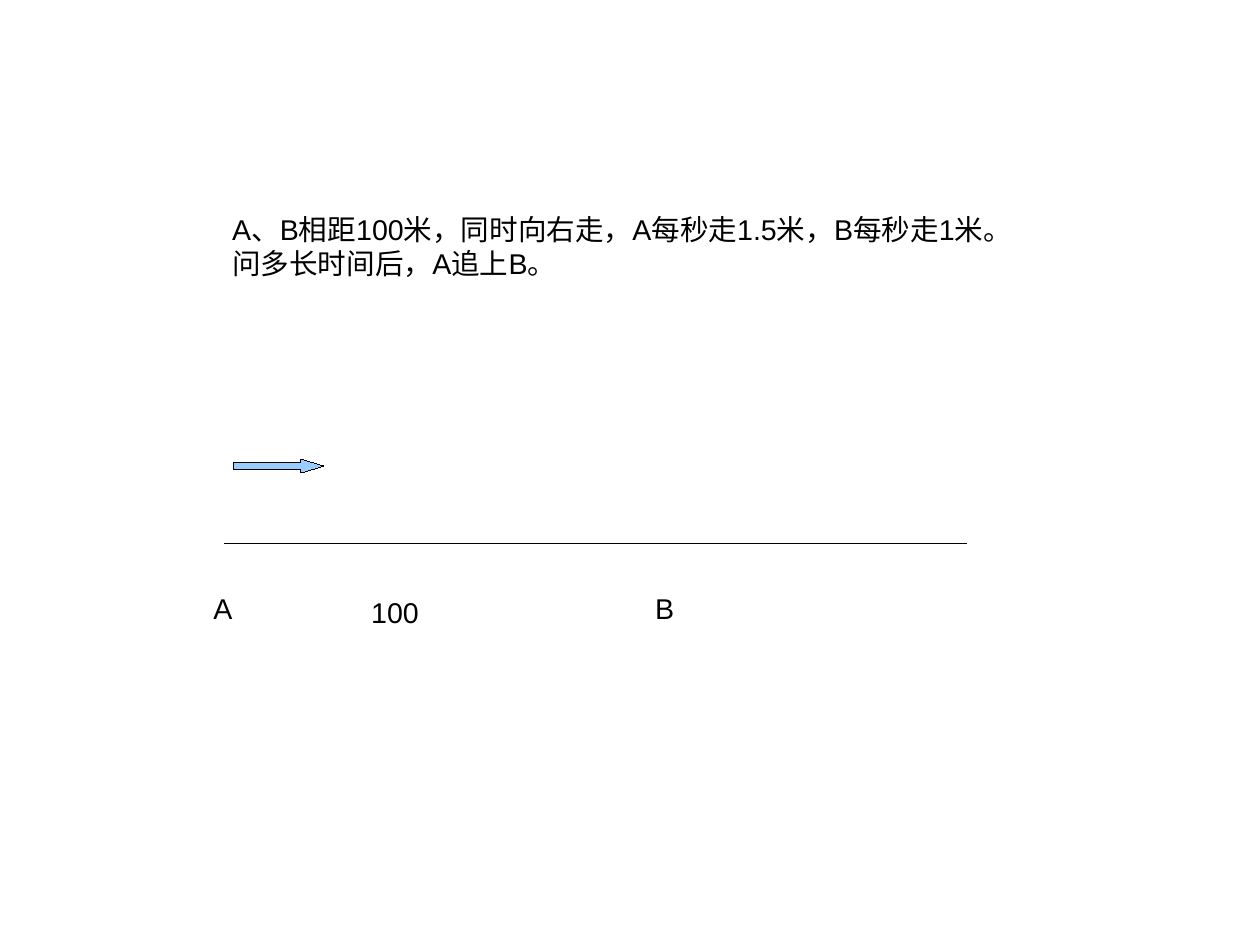
import pptx
import pptx.dml.color
import pptx.enum.shapes
import pptx.enum.text
import pptx.oxml.ns
import pptx.util
from lxml import etree

PX = 8000  # EMU per px, so 1260 by 945 px is 28 by 21 cm
BLACK = pptx.dml.color.RGBColor(0x00, 0x00, 0x00)
LIGHT_BLUE = pptx.dml.color.RGBColor(0x99, 0xCC, 0xFF)


class Board:
    font = "Arial"
    size = pptx.util.Pt(18)
    hairline = pptx.util.Emu(1)  # zero would fall back to the theme width

    def __init__(self, slide):
        self.shapes = slide.shapes

    def outline(self, sp):
        sp.line.color.rgb = BLACK
        sp.line.width = self.hairline

    def text(self, x, y, w, h, *lines):
        sp = self.shapes.add_textbox(x * PX, y * PX, w * PX, h * PX)
        tf = sp.text_frame
        tf.word_wrap = False
        tf.auto_size = pptx.enum.text.MSO_AUTO_SIZE.SHAPE_TO_FIT_TEXT
        tf.text = "\n".join(lines)
        for p in tf.paragraphs:
            for r in p.runs:
                r.font.name = self.font
                r.font.size = self.size
                r.font.color.rgb = BLACK

    def line(self, x1, y1, x2, y2):
        sp = self.shapes.add_connector(
            pptx.enum.shapes.MSO_CONNECTOR.STRAIGHT,
            x1 * PX, y1 * PX, x2 * PX, y2 * PX)
        self.outline(sp)
        etree.SubElement(sp._element.spPr, pptx.oxml.ns.qn("a:effectLst"))

    def arrow(self, x, y, w, h, head):
        sp = self.shapes.add_shape(
            pptx.enum.shapes.MSO_SHAPE.RIGHT_ARROW,
            x * PX, y * PX, w * PX, h * PX)
        sp.adjustments[0] = 0.5
        sp.adjustments[1] = head / h
        sp.shadow.inherit = False
        sp.fill.solid()
        sp.fill.fore_color.rgb = LIGHT_BLUE
        self.outline(sp)


def main():
    prs = pptx.Presentation()
    prs.slide_width = 1260 * PX
    prs.slide_height = 945 * PX
    board = Board(prs.slides.add_slide(prs.slide_layouts[6]))

    # Road with its two starting points and the distance
    board.line(225, 544, 967, 544)
    board.text(202, 585, 42, 43, "A")
    board.text(644, 585, 42, 43, "B")
    board.text(360, 589, 72, 43, "100")

    # Problem statement
    board.text(221, 206, 896, 94,
               "A、B相距100米，同时向右走，A每秒走1.5米，B每秒走1米。",
               "问多长时间后，A追上B。")

    # Walking direction
    board.arrow(234, 459, 90, 14, head=23)

    prs.save("out.pptx")


if __name__ == "__main__":
    main()
